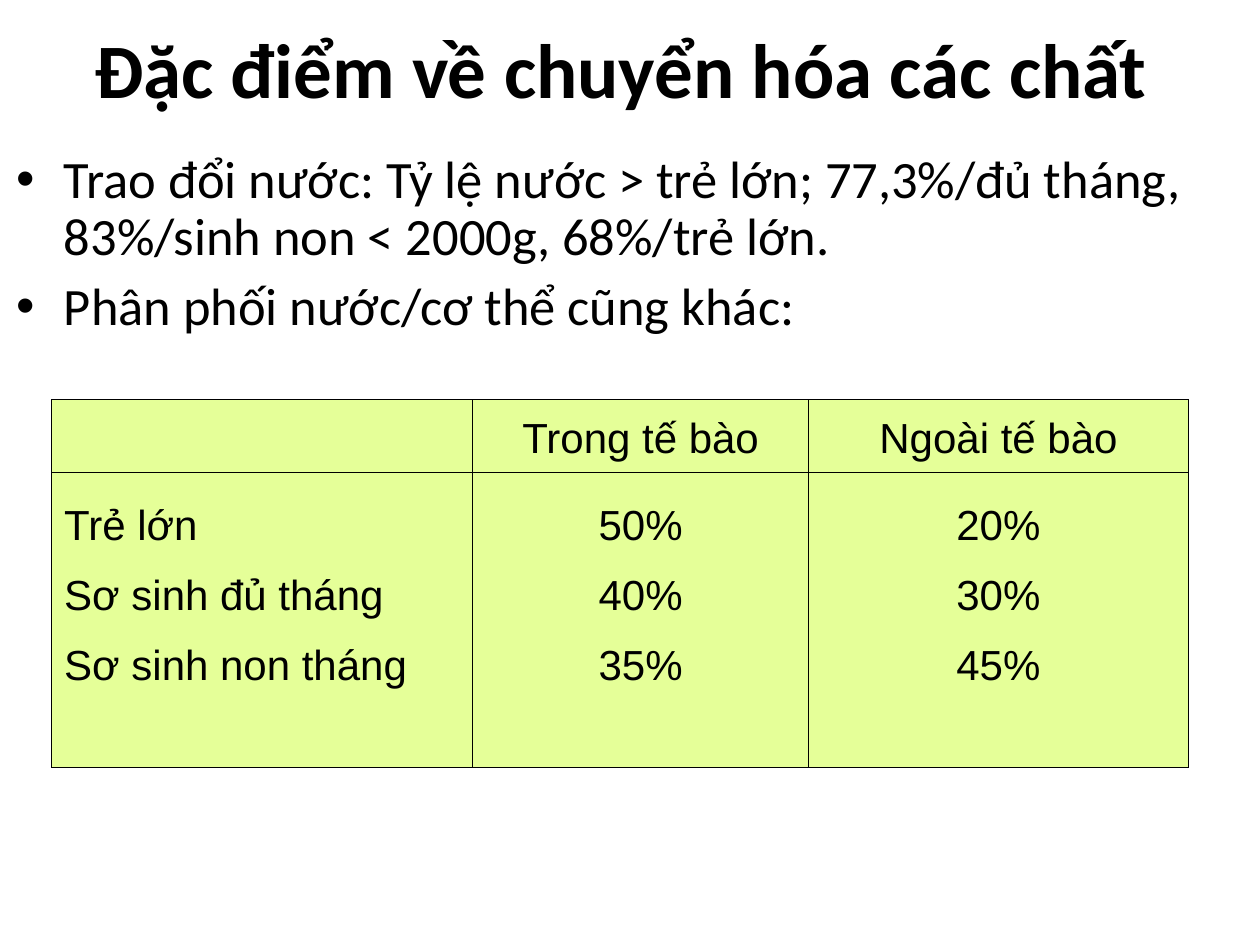
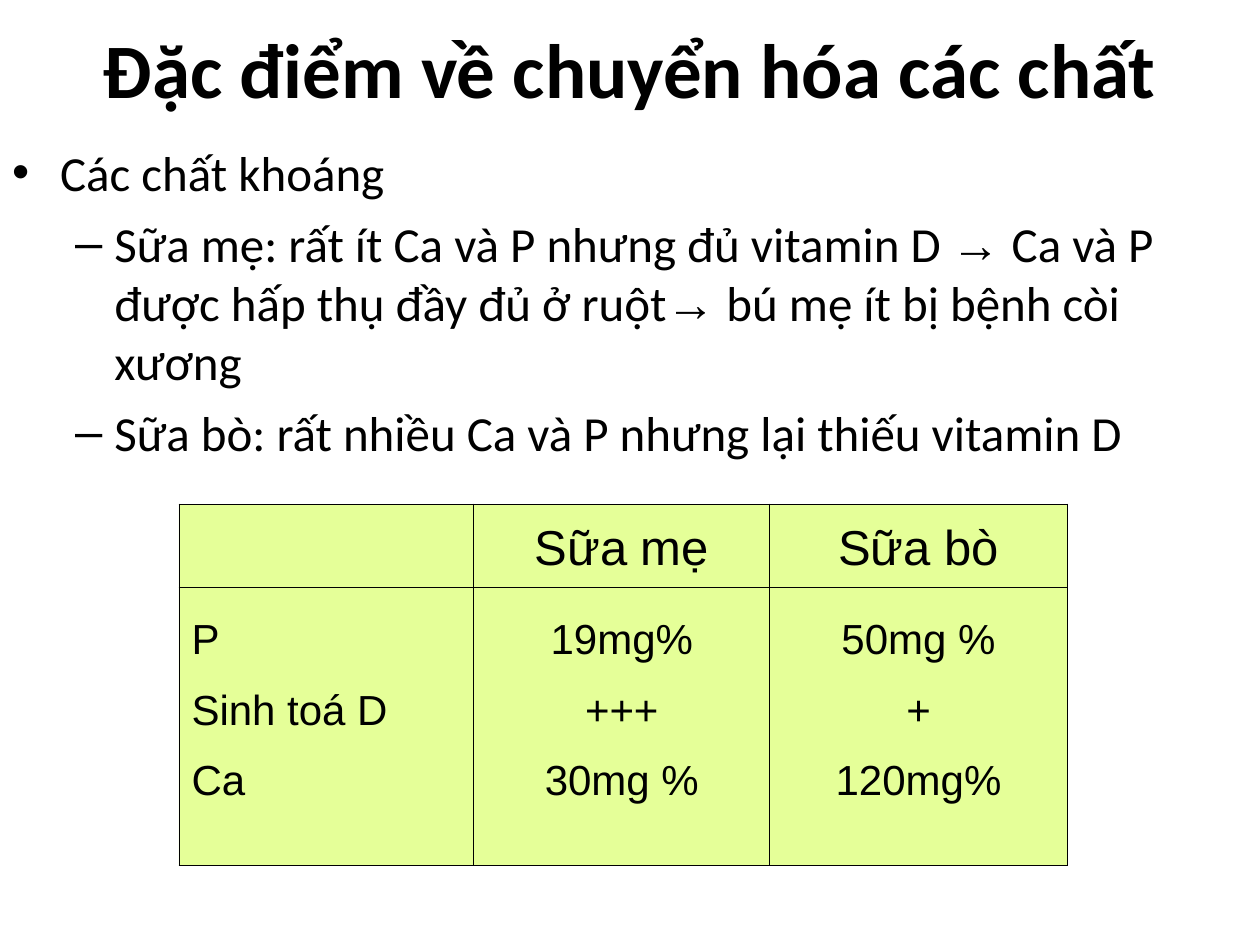
from dataclasses import dataclass

from lxml import etree
from pptx import Presentation
from pptx.dml.color import RGBColor
from pptx.enum import text as t
from pptx.oxml import ns
from pptx.util import Pt

PX = 9144  # 100 px to the inch


@dataclass(frozen=True)
class Theme:
    ink: str = "000000"
    cell: str = "CCFF33"
    cell_alpha: int = 50000
    border: int = 5715
    head_font: str = "Calibri"
    table_font: str = "Arial"
    title_size: int = 44
    cell_size: int = 24
    head_spacing: float = 1.2
    cell_spacing: float = 1.5


@dataclass(frozen=True)
class Level:
    mark: str
    margin: int
    hang: int


@dataclass(frozen=True)
class Bullet:
    text: str
    level: int = 0


@dataclass(frozen=True)
class Body:
    box: tuple[int, int, int, int]
    size: int
    space: float
    line: float
    bullets: tuple[Bullet, ...]


@dataclass(frozen=True)
class Grid:
    left: int
    top: int
    cols: tuple[int, ...]
    rows: tuple[int, ...]
    head_size: int
    heads: tuple[str, ...]
    columns: tuple[tuple[str, ...], ...]


@dataclass(frozen=True)
class Page:
    title: str
    body: Body
    grid: Grid


THEME = Theme()
LEVELS = (Level("•", 38, 38), Level("–", 81, 31))
TITLE_BOX = (0, 0, 1000, 108)
ARROW = "→"

PAGES = (
    Page(
        # The closing space sets the centring of this title
        "Đặc điểm về chuyển hóa các chất ",
        Body((3, 117, 983, 158), 30, 7.5, 0.9, (
            Bullet("Trao đổi nước: Tỷ lệ nước > trẻ lớn; 77,3%/đủ tháng, "
                   "83%/sinh non < 2000g, 68%/trẻ lớn."),
            Bullet("Phân phối nước/cơ thể cũng khác:"),
        )),
        Grid(41, 317, (334, 267, 301), (58, 234), 24,
             ("", "Trong tế bào", "Ngoài tế bào"),
             (("Trẻ lớn", "Sơ sinh đủ tháng", "Sơ sinh non tháng"),
              ("50%", "40%", "35%"),
              ("20%", "30%", "45%"))),
    ),
    Page(
        "Đặc điểm về chuyển hóa các chất",
        Body((0, 108, 983, 275), 28, 7, 1.0, (
            Bullet("Các chất khoáng"),
            Bullet("Sữa mẹ: rất ít Ca và P nhưng đủ vitamin D → Ca và P được "
                   "hấp thụ đầy đủ ở ruột→ bú mẹ ít bị bệnh còi xương", 1),
            Bullet("Sữa bò: rất nhiều Ca và P nhưng lại thiếu vitamin D", 1),
        )),
        Grid(142, 400, (234, 235, 236), (66, 221), 28,
             ("", "Sữa mẹ", "Sữa bò"),
             (("P", "Sinh toá D", "Ca"),
              ("19mg%", "+++", "30mg %"),
              ("50mg %", "+", "120mg%"))),
    ),
)


def sub(parent, tag: str, **attrs):
    return etree.SubElement(parent, ns.qn(tag), {k: str(v) for k, v in attrs.items()})


def add_run(p, words: str, size: int, font: str, bold: bool = False) -> None:
    r = p.add_run()
    r.text = words
    r.font.size, r.font.name, r.font.bold = Pt(size), font, bold
    r.font.color.rgb = RGBColor.from_string(THEME.ink)


def paragraph(tf, index: int):
    return tf.add_paragraph() if index else tf.paragraphs[0]


def add_title(s, title: str) -> None:
    sp = s.shapes.title
    sp.left, sp.top, sp.width, sp.height = (n * PX for n in TITLE_BOX)
    tf = sp.text_frame
    tf.vertical_anchor = t.MSO_ANCHOR.MIDDLE
    p = tf.paragraphs[0]
    p.alignment = t.PP_ALIGN.CENTER
    add_run(p, title, THEME.title_size, THEME.head_font, True)


def set_bullet(p, level: Level) -> None:
    pPr = p._p.get_or_add_pPr()
    pPr.set("marL", str(level.margin * PX))
    pPr.set("indent", str(-level.hang * PX))
    sub(sub(pPr, "a:buClr"), "a:srgbClr", val=THEME.ink)
    sub(pPr, "a:buFont", typeface=THEME.table_font)
    sub(pPr, "a:buChar", char=level.mark)


def add_body(s, body: Body) -> None:
    tf = s.shapes.add_textbox(*(n * PX for n in body.box)).text_frame
    tf.word_wrap = True
    for i, bullet in enumerate(body.bullets):
        p = paragraph(tf, i)
        p.level = bullet.level
        set_bullet(p, LEVELS[bullet.level])
        p.line_spacing = body.line
        if i:
            p.space_before = Pt(body.space)
        # Arrows take the table font
        for j, piece in enumerate(bullet.text.split(ARROW)):
            if j:
                add_run(p, ARROW, body.size, THEME.table_font)
            add_run(p, piece, body.size, THEME.head_font)


def style_cell(cell) -> None:
    tcPr = cell._tc.get_or_add_tcPr()
    for side in "LRTB":
        ln = sub(tcPr, f"a:ln{side}", w=THEME.border)
        sub(sub(ln, "a:solidFill"), "a:srgbClr", val=THEME.ink)
    cell.fill.solid()
    cell.fill.fore_color.rgb = RGBColor.from_string(THEME.cell)
    sub(tcPr.find(ns.qn("a:solidFill"))[0], "a:alpha", val=THEME.cell_alpha)


def fill_cell(cell, lines: tuple[str, ...], size: int, spacing: float, align) -> None:
    style_cell(cell)
    for i, line in enumerate(lines):
        if line:
            p = paragraph(cell.text_frame, i)
            p.alignment, p.line_spacing = align, spacing
            add_run(p, line, size, THEME.table_font)


def add_grid(s, grid: Grid) -> None:
    frame = s.shapes.add_table(
        len(grid.rows), len(grid.cols), grid.left * PX, grid.top * PX,
        sum(grid.cols) * PX, sum(grid.rows) * PX)
    table = frame.table
    table.first_row = table.horz_banding = False
    for row, height in zip(table.rows, grid.rows):
        row.height = height * PX
    for c, (width, head, lines) in enumerate(zip(grid.cols, grid.heads, grid.columns)):
        table.columns[c].width = width * PX
        align = t.PP_ALIGN.CENTER if c else t.PP_ALIGN.JUSTIFY
        fill_cell(table.cell(0, c), (head,), grid.head_size, THEME.head_spacing, align)
        fill_cell(table.cell(1, c), lines, THEME.cell_size, THEME.cell_spacing, align)


def main() -> None:
    prs = Presentation()
    prs.slide_width, prs.slide_height = 1000 * PX, 750 * PX
    for page in PAGES:
        s = prs.slides.add_slide(prs.slide_layouts[5])
        add_title(s, page.title)
        add_body(s, page.body)
        add_grid(s, page.grid)
    prs.save("out.pptx")


if __name__ == "__main__":
    main()
